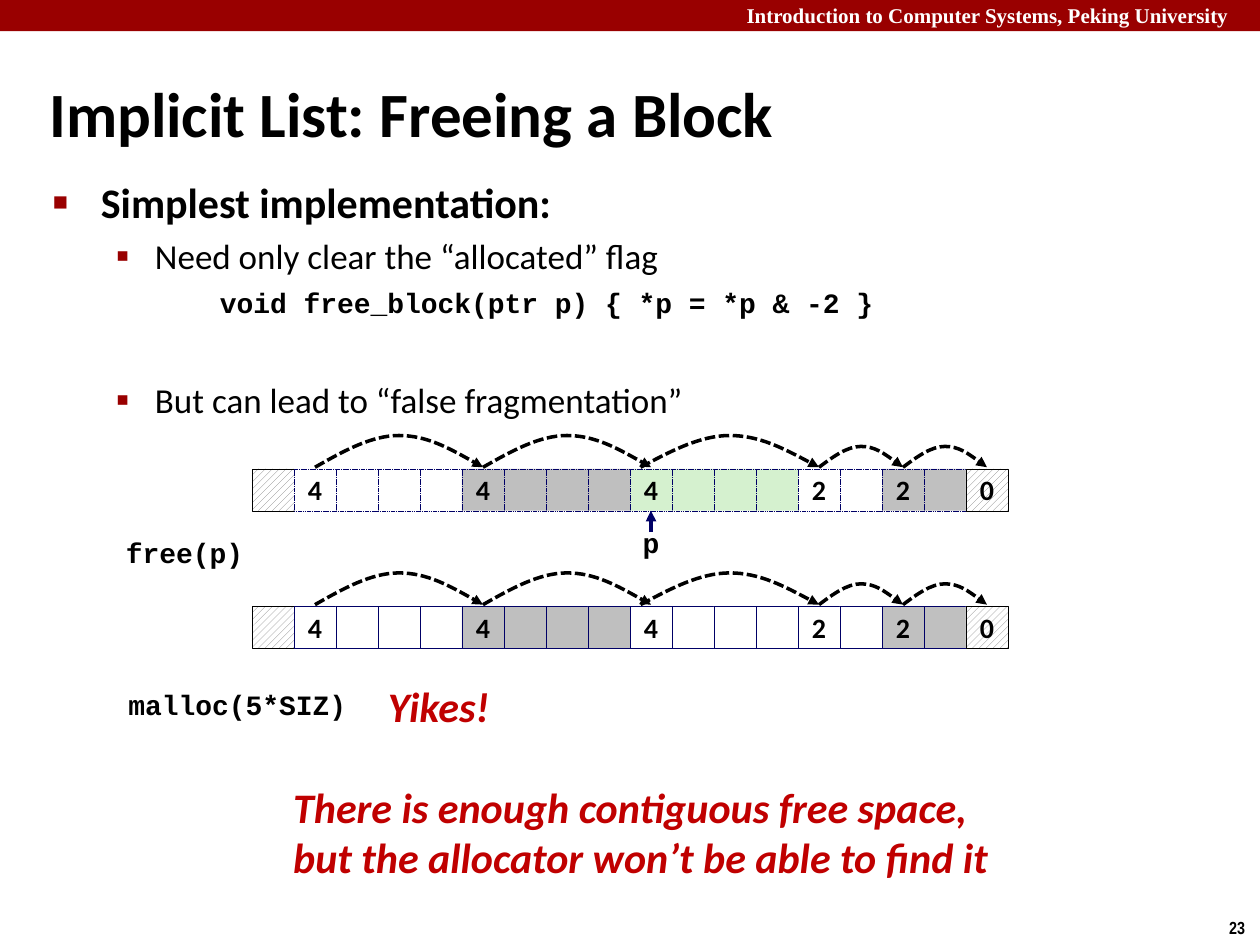
import pptx
import pptx.dml.color
import pptx.enum.dml
import pptx.enum.shapes
import pptx.enum.text
import pptx.oxml.ns
import pptx.util
from lxml import etree

Cm, Pt, qn = pptx.util.Cm, pptx.util.Pt, pptx.oxml.ns.qn
PP_ALIGN, MSO_ANCHOR = pptx.enum.text.PP_ALIGN, pptx.enum.text.MSO_ANCHOR
RECTANGLE = pptx.enum.shapes.MSO_SHAPE.RECTANGLE
DASH = pptx.enum.dml.MSO_LINE.SQUARE_DOT

CELL = 2.54 / 3
DARK_RED, RED, NAVY, BLACK, WHITE = "990000", "C00000", "000066", "000000", "FFFFFF"
USED, USED_LAST, FREED = "BFBFBF", "C0C0C0", "D5F1CF"


def rgb(color):
    return pptx.dml.color.RGBColor.from_string(color)


def write(p, text, size=16, font="Calibri", color=BLACK, bold=True, italic=False,
          align=PP_ALIGN.LEFT, before=0, spacing=1.0):
    p.alignment, p.space_before, p.line_spacing = align, Pt(before), spacing
    r = p.add_run()
    r.text = text
    r.font.size, r.font.name = Pt(size), font
    r.font.bold, r.font.italic = bold, italic
    r.font.color.rgb = rgb(color)


def indent(p, left, hanging=0, bullet=None, percent=100):
    """Set the indents in cm, and the bullet or none."""
    pPr = p._p.get_or_add_pPr()
    pPr.set("marL", str(Cm(left)))
    pPr.set("indent", str(Cm(-hanging)))
    if bullet is None:
        etree.SubElement(pPr, qn("a:buNone"))
        return
    tint = etree.SubElement(pPr, qn("a:buClr"))
    etree.SubElement(tint, qn("a:srgbClr"), val=DARK_RED)
    etree.SubElement(pPr, qn("a:buSzPct"), val=str(percent * 1000))
    etree.SubElement(pPr, qn("a:buFont"), typeface="Arial")
    etree.SubElement(pPr, qn("a:buChar"), char=bullet)


def place(sp, x, y, w, h):
    sp.left, sp.top, sp.width, sp.height = Cm(x), Cm(y), Cm(w), Cm(h)


def add_label(s, x, y, w, h, text, wrap=False, **fmt):
    tf = s.shapes.add_textbox(Cm(x), Cm(y), Cm(w), Cm(h)).text_frame
    tf.word_wrap = wrap
    write(tf.paragraphs[0], text, **fmt)


def add_box(s, x, y, w, h, fill):
    sp = s.shapes.add_shape(RECTANGLE, Cm(x), Cm(y), Cm(w), Cm(h))
    sp.shadow.inherit = False
    sp.fill.solid()
    sp.fill.fore_color.rgb = rgb(fill)
    sp.line.fill.background()
    return sp


def style_line(line, color, width, dash=None, arrow=False):
    line.color.rgb = rgb(color)
    line.width = Pt(width)
    if dash:
        line.dash_style = dash
    if arrow:
        etree.SubElement(line._get_or_add_ln(), qn("a:tailEnd"), type="triangle")


def add_cell(s, x, y, fill, text="", dash=None):
    sp = add_box(s, x, y, CELL, CELL, fill)
    style_line(sp.line, NAVY, 0.25, dash)
    if text:
        tf = sp.text_frame
        tf.word_wrap = False
        tf.vertical_anchor = MSO_ANCHOR.MIDDLE
        write(tf.paragraphs[0], text, align=PP_ALIGN.CENTER)
    return sp


def add_boundary(s, x, y, text=""):
    """Add the hatched cell at either end of the heap."""
    sp = add_cell(s, x, y, WHITE, text)
    sp.fill.patterned()
    sp.fill.pattern = pptx.enum.dml.MSO_PATTERN.WIDE_UPWARD_DIAGONAL
    sp.fill.fore_color.rgb = rgb("808080")
    sp.fill.back_color.rgb = rgb(WHITE)
    style_line(sp.line, BLACK, 0.25)


def add_arc(s, x, base, w, h):
    """Add a dashed arrow that arches from (x, base) to (x + w, base)."""
    fb = s.shapes.build_freeform(Cm(x), Cm(base))
    fb.add_line_segments([(Cm(x + w / 2), Cm(base - h)), (Cm(x + w), Cm(base))], close=False)
    sp = fb.convert_to_shape()
    curves = [[(1 / 6, 1 / 2), (1 / 3, 0), (1 / 2, 0)],
              [(2 / 3, 0), (5 / 6, 1 / 2), (1, 1)]]
    for segment, points in zip(list(sp._element.iter(qn("a:lnTo"))), curves):
        curve = etree.Element(qn("a:cubicBezTo"))
        for px, py in points:
            etree.SubElement(curve, qn("a:pt"), x=str(int(Cm(w * px))), y=str(int(Cm(h * py))))
        segment.getparent().replace(segment, curve)
    sp.shadow.inherit = False
    sp.fill.background()
    style_line(sp.line, BLACK, 2, DASH, arrow=True)


def add_heap(s, x, y, blocks, dash=None):
    """Draw a heap row from blocks of (words, fill, arc lead)."""
    add_boundary(s, x, y)
    start, arcs = x + CELL, []
    for words, fill, lead in blocks:
        for i in range(words):
            add_cell(s, start + i * CELL, y, fill, "" if i else str(words), dash)
        arcs.append((start + CELL / 2 - lead, words * CELL + lead, 0.64 if words > 2 else 0.42))
        start += words * CELL
    add_boundary(s, start, y, "0")
    for left, width, height in arcs:
        add_arc(s, left, y - 0.03, width, height)


def add_pointer(s, x, y, text):
    """Add an upward arrow with its tip at (x, y) and a name below."""
    add_label(s, x - 0.42, y + 0.22, 0.84, 0.91, text, font="Courier New", spacing=0.94)
    cx = s.shapes.add_connector(pptx.enum.shapes.MSO_CONNECTOR.STRAIGHT,
                                Cm(x), Cm(y + 0.43), Cm(x), Cm(y))
    etree.SubElement(cx._element.spPr, qn("a:effectLst"))
    ln = cx.line
    style_line(ln, NAVY, 2, arrow=True)
    effects = cx._element.spPr.find(qn("a:effectLst"))
    cx._element.spPr.append(effects)


def add_frame(s, w, h):
    """Add the header band and the page number."""
    add_box(s, 0, 0, w, 0.63, DARK_RED)
    add_label(s, w - 10.6, -0.08, 10.78, 0.76, "Introduction to Computer Systems, Peking University",
              wrap=True, size=12, font="Times New Roman", color=WHITE)
    add_label(s, w - 0.87, h - 0.69, 0.87, 0.68, "23", size=10, font="Arial Narrow")


def fill_title(sp, x, y, w, h):
    place(sp, x, y, w, h)
    tf = sp.text_frame
    tf.auto_size = pptx.enum.text.MSO_AUTO_SIZE.NONE
    tf.vertical_anchor = MSO_ANCHOR.MIDDLE
    write(tf.paragraphs[0], "Implicit List: Freeing a Block", size=36)


def fill_body(sp, x, y, w, h):
    place(sp, x, y, w, h)
    tf = sp.text_frame
    tf.auto_size = pptx.enum.text.MSO_AUTO_SIZE.NONE
    top = dict(left=0.97, hanging=0.97, bullet="■", percent=60)
    sub = dict(left=2.06, hanging=0.79, bullet="▪", percent=110)
    plain = dict(size=20, bold=False)
    items = [
        ("Simplest implementation:", 0, top, dict(size=24)),
        ("Need only clear the “allocated” flag", 1, sub, dict(plain, before=4)),
        ("void free_block(ptr p) { *p = *p & -2 }", 2, dict(left=3.37),
         dict(font="Courier New", before=5.5)),
        ("But can lead to “false fragmentation”", 1, sub, dict(plain, before=33.5)),
    ]
    for i, (text, level, indents, fmt) in enumerate(items):
        p = tf.add_paragraph() if i else tf.paragraphs[0]
        p.level = level
        indent(p, **indents)
        write(p, text, **fmt)


def main():
    prs = pptx.Presentation()
    prs.slide_width, prs.slide_height = Cm(25.4), Cm(19.05)
    s = prs.slides.add_slide(prs.slide_layouts[1])
    add_frame(s, 25.4, 19.05)
    fill_title(s.shapes.title, 0.74, 1.47, 20.02, 1.6)
    fill_body(s.placeholders[1], 0.81, 3.44, 23.09, 12.07)

    x, before, after = 5.08, 9.45, 12.22
    tail = [(2, WHITE, 0), (2, USED_LAST, 0)]
    head = [(4, WHITE, 0), (4, USED, 0)]
    add_heap(s, x, before, head + [(4, FREED, 0.21)] + tail, DASH)
    add_pointer(s, x + 9.5 * CELL, before + CELL, "p")
    add_heap(s, x, after, head + [(4, WHITE, 0.21)] + tail)

    code = dict(font="Courier New", spacing=0.94)
    remark = dict(size=24, color=RED, italic=True)
    add_label(s, 2.29, 10.72, 2.9, 0.91, "free(p)", **code)
    add_label(s, 2.34, 13.79, 4.95, 0.91, "malloc(5*SIZ)", **code)
    add_label(s, 7.57, 13.59, 2.57, 1.32, "Yikes!", **remark)
    add_label(s, 5.66, 15.62, 15.16, 2.31, "There is enough contiguous free space, "
              "but the allocator won’t be able to find it", wrap=True, **remark)
    prs.save("out.pptx")


if __name__ == "__main__":
    main()
